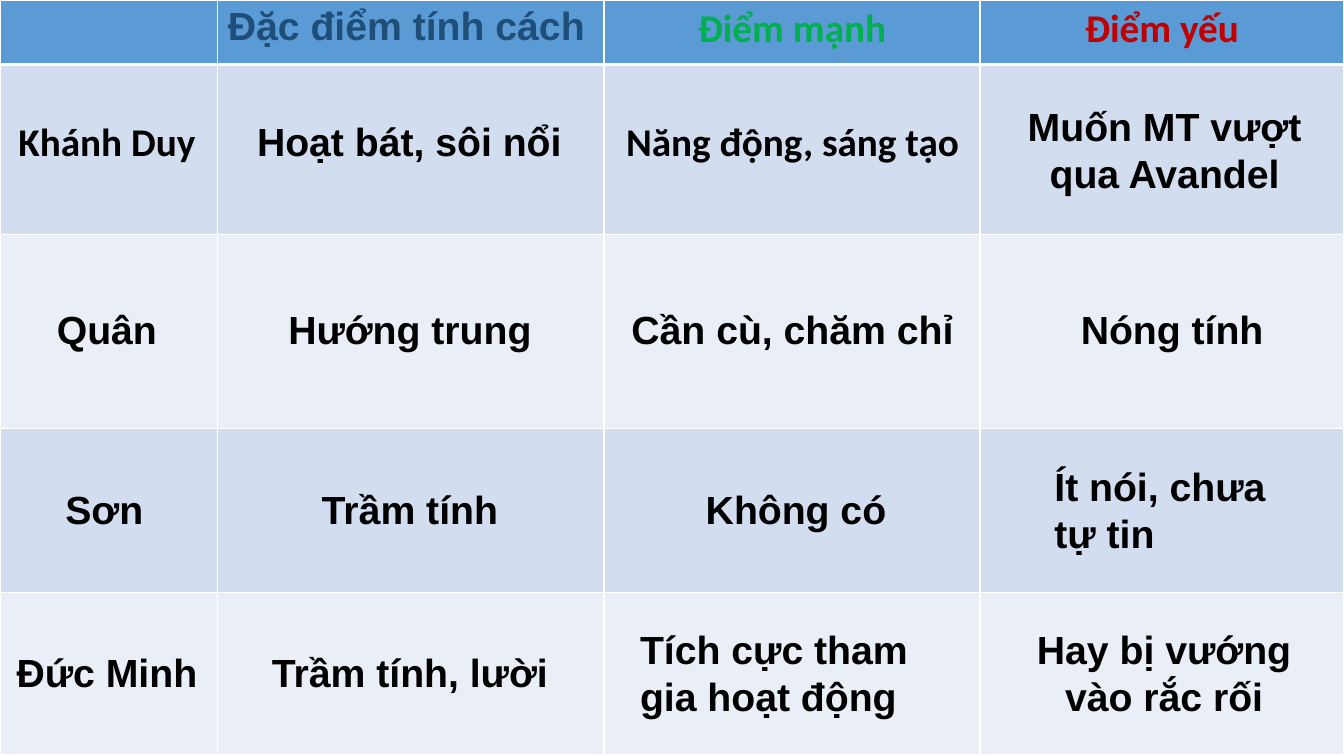
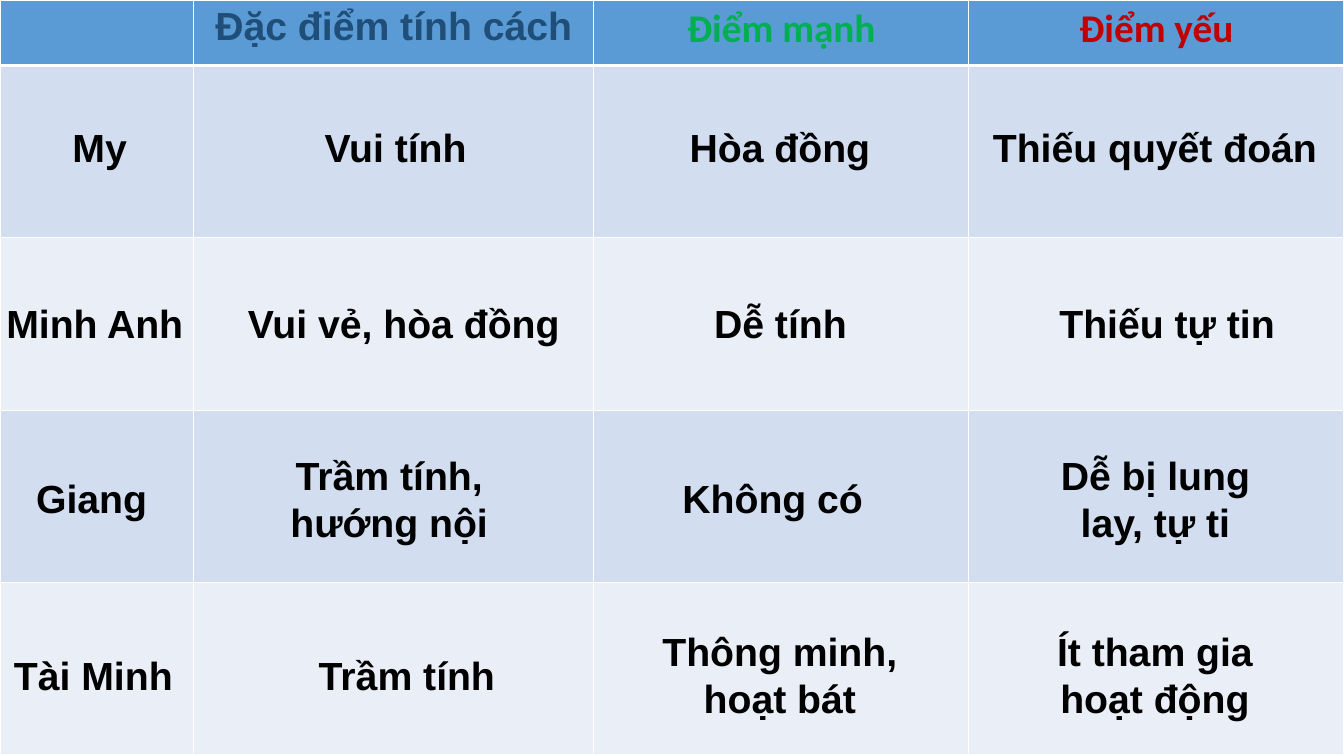
from itertools import accumulate

from lxml import etree
from pptx import Presentation
from pptx.dml.color import RGBColor
from pptx.enum.text import MSO_ANCHOR, MSO_AUTO_SIZE, PP_ALIGN
from pptx.oxml.ns import qn
from pptx.util import Inches, Pt

LEFT, CENTER = PP_ALIGN.LEFT, PP_ALIGN.CENTER
MIDDLE, GROW = MSO_ANCHOR.MIDDLE, MSO_AUTO_SIZE.SHAPE_TO_FIT_TEXT

BLACK = RGBColor(0x00, 0x00, 0x00)
WHITE = RGBColor(0xFF, 0xFF, 0xFF)
HEADER_BLUE = RGBColor(0x5B, 0x9B, 0xD5)
BAND_DARK = RGBColor(0xD2, 0xDE, 0xEF)
BAND_LIGHT = RGBColor(0xEA, 0xEF, 0xF7)
NAVY = RGBColor(0x1F, 0x4E, 0x79)
GREEN = RGBColor(0x00, 0xB0, 0x50)
RED = RGBColor(0xC0, 0x00, 0x00)

WIDTH, HEIGHT = 13.33, 7.5
LINE_H, PADDING = 0.47, 0.1
THIN, THICK = 1, 3

HEADERS = [
    ("Đặc điểm tính cách", "Arial", NAVY),
    ("Điểm mạnh", "Calibri", GREEN),
    ("Điểm yếu", "Calibri", RED),
]

# Each text row: middle height, first column, font of its entries, entries.
# Each entry: text, alignment, lines, inset from its column, width.
SLIDES = [
    {
        "cols": [2.16, 3.83, 3.73, 3.61],
        "rows": [0.64, 1.69, 1.92, 1.63, 1.61],
        "first_header": LEFT,
        "texts": [
            (1.4, 0, ["Calibri", "Arial", "Calibri"], [
                ("Khánh Duy", CENTER, 1, 0, 2.12),
                ("Hoạt bát, sôi nổi", CENTER, 1, 0.25, 3.3),
                ("Năng động, sáng tạo", CENTER, 1, -0.15, 4.04)]),
            (1.48, 3, ["Arial"], [
                ("Muốn MT vượt qua Avandel", CENTER, 2, 0.17, 3.32)]),
            (3.26, 0, ["Arial"] * 4, [
                ("Quân", CENTER, 1, 0.27, 1.58),
                ("Hướng trung", CENTER, 1, -0.04, 3.89),
                ("Cần cù, chăm chỉ", CENTER, 1, 0.12, 3.5),
                ("Nóng tính", CENTER, 1, 0.47, 2.87)]),
            (5.05, 0, ["Arial"] * 4, [
                ("Sơn", LEFT, 1, 0.55, 1.58),
                ("Trầm tính", CENTER, 1, 0.29, 3.23),
                ("Không có", CENTER, 1, 0.29, 3.23),
                ("Ít nói, chưa tự tin", LEFT, 2, 0.64, 2.43)]),
            (6.67, 0, ["Arial"] * 4, [
                ("Đức Minh", CENTER, 1, 0, 2.12),
                ("Trầm tính, lười", CENTER, 1, 0.39, 3.03),
                ("Tích cực tham gia hoạt động", LEFT, 2, 0.26, 3.23),
                ("Hay bị vướng vào rắc rối", CENTER, 2, 0.45, 2.75)]),
        ],
    },
    {
        "cols": [1.92, 3.97, 3.72, 3.72],
        "rows": [0.65] + [1.71] * 4,
        "first_header": CENTER,
        "texts": [
            (1.46, 0, ["Arial"] * 4, [
                ("My", LEFT, 1, 0.62, 1.31),
                ("Vui tính", LEFT, 1, 1.2, 2.91),
                ("Hòa đồng", CENTER, 1, 0.39, 2.91),
                ("Thiếu quyết đoán", CENTER, 1, 0.06, 3.57)]),
            (3.2, 0, ["Arial"] * 4, [
                ("Minh Anh", CENTER, 1, -0.07, 2.02),
                ("Vui vẻ, hòa đồng", LEFT, 1, 0.44, 3.34),
                ("Dễ tính", CENTER, 1, 0.81, 2.08),
                ("Thiếu tự tin", CENTER, 1, 0.41, 3.11)]),
            (4.94, 0, ["Arial"] * 4, [
                ("Giang", LEFT, 1, 0.26, 1.38),
                ("Trầm tính, hướng nội", CENTER, 2, 0.27, 3.34),
                ("Không có", LEFT, 1, 0.78, 2.49),
                ("Dễ bị lung lay, tự ti", CENTER, 2, 0.6, 2.5)]),
            (6.69, 0, ["Arial"] * 4, [
                ("Tài Minh", LEFT, 1, 0.04, 1.82),
                ("Trầm tính", CENTER, 1, 0.7, 2.83),
                ("Thông minh, hoạt bát", CENTER, 2, 0.28, 3.13),
                ("Ít tham gia hoạt động", CENTER, 2, 0.43, 2.83)]),
        ],
    },
]


def write(tf, text, align, font, color):
    p = tf.paragraphs[0]
    p.text = text
    p.alignment = align
    p.font.name = font
    p.font.size = Pt(28)
    p.font.bold = True
    p.font.color.rgb = color


def style_cell(cell, fill, top, bottom):
    """Fill a cell and give it white borders; top and bottom are in points."""
    tcPr = cell._tc.get_or_add_tcPr()
    for side, width in (("L", THIN), ("R", THIN), ("T", top), ("B", bottom)):
        ln = etree.SubElement(tcPr, qn(f"a:ln{side}"), w=str(Pt(width)))
        solid = etree.SubElement(ln, qn("a:solidFill"))
        etree.SubElement(solid, qn("a:srgbClr"), val=str(WHITE))
    cell.fill.solid()
    cell.fill.fore_color.rgb = fill


prs = Presentation()
prs.slide_width, prs.slide_height = Inches(WIDTH), Inches(HEIGHT)

for spec_sheet in SLIDES:
    s = prs.slides.add_slide(prs.slide_layouts[6])
    cols, rows = spec_sheet["cols"], spec_sheet["rows"]
    table = s.shapes.add_table(len(rows), len(cols), 0, 0,
                               prs.slide_width, prs.slide_height).table
    for column, width in zip(table.columns, cols):
        column.width = Inches(width)
    for i, height in enumerate(rows):
        table.rows[i].height = Inches(height)
        fill = HEADER_BLUE if i == 0 else BAND_DARK if i % 2 else BAND_LIGHT
        for j in range(len(cols)):
            style_cell(table.cell(i, j), fill,
                       THICK if i == 1 else THIN, THICK if i == 0 else THIN)

    header_aligns = [spec_sheet["first_header"], CENTER, CENTER]
    for j, (text, font, color) in enumerate(HEADERS):
        write(table.cell(0, j + 1).text_frame, text, header_aligns[j], font, color)

    col_lefts = list(accumulate(cols, initial=0))
    for middle, first_col, fonts, entries in spec_sheet["texts"]:
        for left, font, entry in zip(col_lefts[first_col:], fonts, entries):
            text, align, lines, inset, width = entry
            height = lines * LINE_H + PADDING
            sp = s.shapes.add_textbox(Inches(left + inset), Inches(middle - height / 2),
                                      Inches(width), Inches(height))
            tf = sp.text_frame
            tf.word_wrap = True
            tf.auto_size = GROW
            tf.vertical_anchor = MIDDLE
            write(tf, text, align, font, BLACK)

prs.save("out.pptx")
